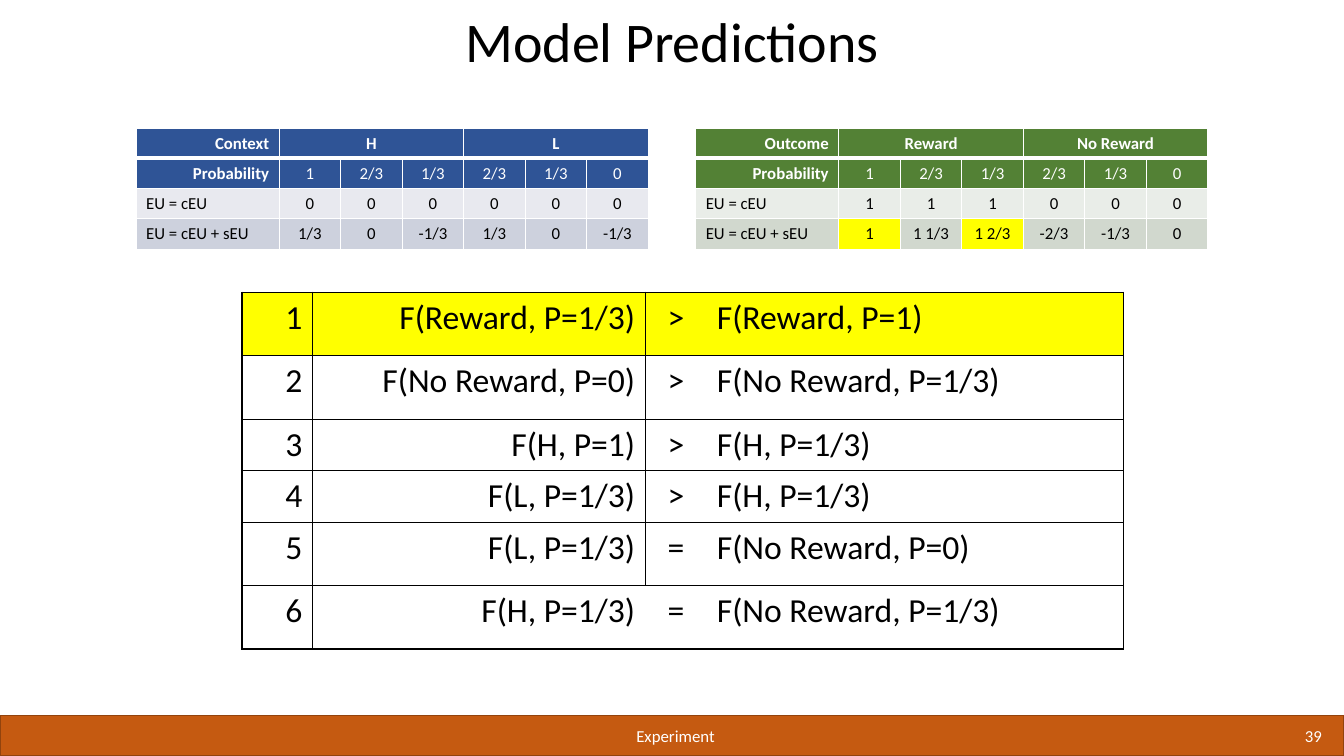
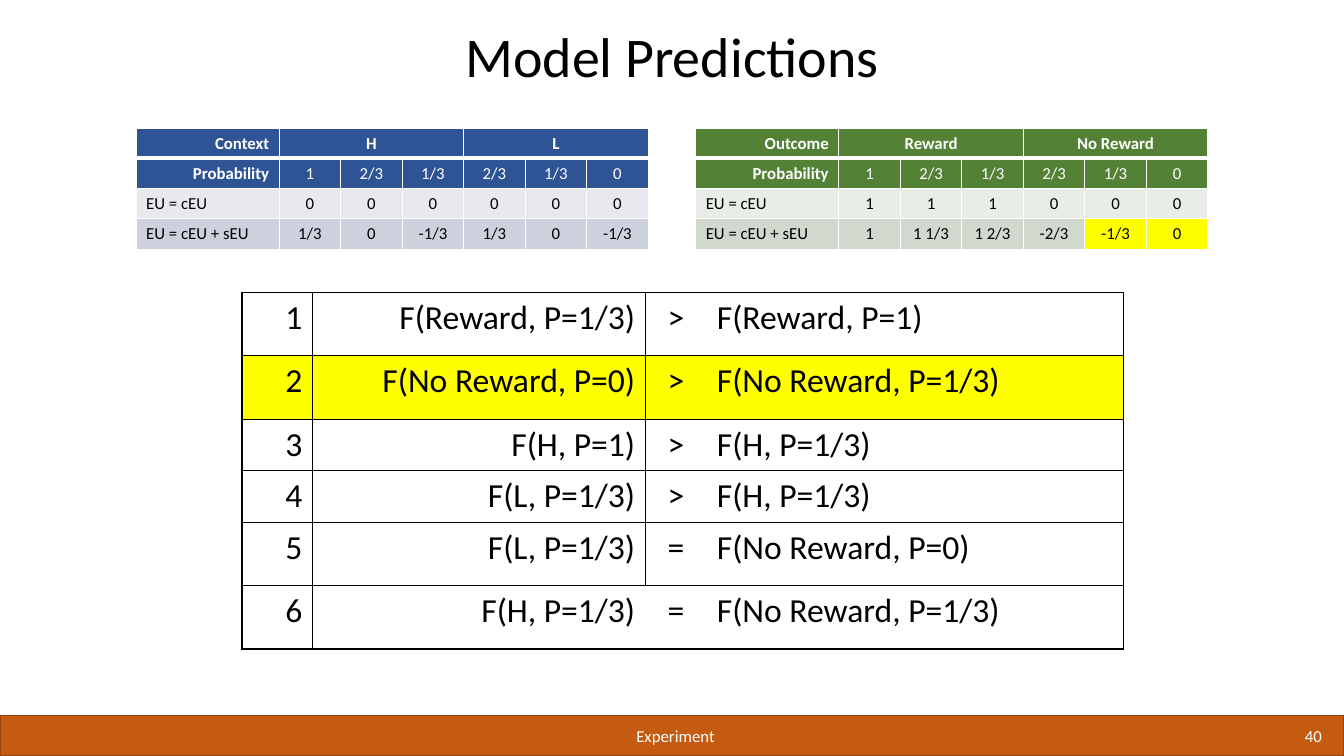
from lxml import etree
from pptx import Presentation
from pptx.dml.color import RGBColor
from pptx.enum.shapes import MSO_SHAPE
from pptx.enum.text import MSO_ANCHOR, PP_ALIGN
from pptx.oxml.ns import qn
from pptx.util import Inches, Pt

LEFT, CENTER, RIGHT = PP_ALIGN.LEFT, PP_ALIGN.CENTER, PP_ALIGN.RIGHT
MIDDLE, BOTTOM = MSO_ANCHOR.MIDDLE, MSO_ANCHOR.BOTTOM
RECTANGLE = MSO_SHAPE.RECTANGLE

COLORS = {
    "text": "000000", "white": "FFFFFF", "highlight": "FFFF00",
    "band": "C55A11", "band_line": "92430D",
    "blue": "2F5496", "blue_light": "E8E9EF", "blue_mid": "CDD1DD",
    "green": "538135", "green_light": "E9EDE8", "green_mid": "D1D8CE",
}

# Content
PROBABILITIES = ["Probability", "1", "2/3", "1/3", "2/3", "1/3", "0"]
CONTEXT = [
    ["Context", "H", "", "", "L", "", ""],
    PROBABILITIES,
    ["EU = cEU", "0", "0", "0", "0", "0", "0"],
    ["EU = cEU + sEU", "1/3", "0", "-1/3", "1/3", "0", "-1/3"],
]
OUTCOME = [
    ["Outcome", "Reward", "", "", "No Reward", "", ""],
    PROBABILITIES,
    ["EU = cEU", "1", "1", "1", "0", "0", "0"],
    ["EU = cEU + sEU", "1", "1 1/3", "1 2/3", "-2/3", "-1/3", "0"],
]
PREDICTIONS = [
    ["1", "F(Reward, P=1/3)", ">", "F(Reward, P=1)"],
    ["2", "F(No Reward, P=0)", ">", "F(No Reward, P=1/3)"],
    ["3", "F(H, P=1)", ">", "F(H, P=1/3)"],
    ["4", "F(L, P=1/3)", ">", "F(H, P=1/3)"],
    ["5", "F(L, P=1/3)", "=", "F(No Reward, P=0)"],
    ["6", "F(H, P=1/3)", "=", "F(No Reward, P=1/3)"],
]
# Page number, title top, highlighted prediction row, highlighted outcome columns
PAGES = [(39, 0.08, 0, (1, 3)), (40, 0.23, 1, (5, 6))]


def rgb(name):
    return RGBColor.from_string(COLORS[name])


class Deck:
    font = "Calibri"

    def __init__(self):
        self.prs = Presentation()
        self.prs.slide_width, self.prs.slide_height = Inches(13.33), Inches(7.5)
        self.slide = None

    def new_slide(self, title, title_top, section, number):
        self.slide = self.prs.slides.add_slide(self.prs.slide_layouts[6])
        self.band()
        self.text(title, 0.66, title_top, 12.01, 0.71, 40, "text", CENTER, BOTTOM, 0.9)
        self.text(section, 2.24, 7.1, 8.92, 0.4, 12, "white", CENTER, MIDDLE)
        self.text(str(number), 11.15, 7.1, 2.06, 0.4, 12, "white", RIGHT, MIDDLE)

    def band(self):
        band = self.slide.shapes.add_shape(
            RECTANGLE, 0, Inches(7.1), self.prs.slide_width, Inches(0.4))
        band.shadow.inherit = False
        band.fill.solid()
        band.fill.fore_color.rgb = rgb("band")
        band.line.color.rgb = rgb("band_line")
        band.line.width = Pt(1)

    def style(self, paragraph, size, color, align, bold=False):
        paragraph.alignment = align
        font = paragraph.font
        font.name, font.size, font.bold = self.font, Pt(size), bold
        font.color.rgb = rgb(color)

    def text(self, text, left, top, width, height, size, color, align, anchor, spacing=1.0):
        frame = self.slide.shapes.add_textbox(
            Inches(left), Inches(top), Inches(width), Inches(height)).text_frame
        frame.word_wrap = True
        frame.vertical_anchor = anchor
        paragraph = frame.paragraphs[0]
        paragraph.text = text
        paragraph.line_spacing = spacing
        self.style(paragraph, size, color, align)

    def table(self, left, top, widths, heights):
        table = self.slide.shapes.add_table(
            len(heights), len(widths), Inches(left), Inches(top),
            Inches(sum(widths)), Inches(sum(heights))).table
        table.first_row = table.horz_banding = False
        for column, width in zip(table.columns, widths):
            column.width = Inches(width)
        for row, height in zip(table.rows, heights):
            row.height = Inches(height)
        return table

    def cell(self, cell, text, size, color, align, fill, borders, line_color, bold=False):
        """Borders are widths in points: left, right, top, bottom; 0 hides one."""
        paragraph = cell.text_frame.paragraphs[0]
        paragraph.text = text
        self.style(paragraph, size, color, align, bold)
        properties = cell._tc.get_or_add_tcPr()
        for side, width in zip("LRTB", borders):
            line = etree.SubElement(properties, qn(f"a:ln{side}"), w=str(Pt(width)))
            if width:
                solid = etree.SubElement(line, qn("a:solidFill"))
                etree.SubElement(solid, qn("a:srgbClr"), val=COLORS[line_color])
            else:
                etree.SubElement(line, qn("a:noFill"))
        if fill:
            cell.fill.solid()
            cell.fill.fore_color.rgb = rgb(fill)
        else:
            cell.fill.background()

    def utility_table(self, rows, left, hue, highlighted=()):
        table = self.table(left, 1.27, [1.42] + [0.61] * 6, [0.3] * 4)
        fills = [hue, hue, f"{hue}_light", f"{hue}_mid"]
        for r, row in enumerate(rows):
            heading = r < 2
            borders = (1, 1, 3 if r == 1 else 1, 3 if r == 0 else 1)
            for c, text in enumerate(row):
                align = CENTER if c else RIGHT if heading else LEFT
                fill = "highlight" if r == 3 and c in highlighted else fills[r]
                self.cell(table.cell(r, c), text, 12, "white" if heading else "text",
                          align, fill, borders, "white", r == 0 or (heading and c == 0))
        for first in (1, 4):
            table.cell(0, first).merge(table.cell(0, first + 2))

    def prediction_table(self, rows, highlighted):
        table = self.table(2.4, 2.9, [0.7, 3.3, 0.61, 4.13],
                           [0.63, 0.63, 0.51, 0.51, 0.63, 0.63])
        aligns = [RIGHT, RIGHT, CENTER, LEFT]
        for r, row in enumerate(rows):
            # The last row has no rule before its relation sign
            rule = 0 if r == len(rows) - 1 else 1
            verticals = [1, 1, rule, 0, 1]
            for c, text in enumerate(row):
                self.cell(table.cell(r, c), text, 24, "text", aligns[c],
                          "highlight" if r == highlighted else None,
                          (verticals[c], verticals[c + 1], 1, 1), "text")


def main():
    deck = Deck()
    for number, title_top, prediction, outcomes in PAGES:
        deck.new_slide("Model Predictions", title_top, "Experiment", number)
        deck.prediction_table(PREDICTIONS, prediction)
        deck.utility_table(CONTEXT, 1.35, "blue")
        deck.utility_table(OUTCOME, 6.9, "green", outcomes)
    deck.prs.save("out.pptx")


if __name__ == "__main__":
    main()
